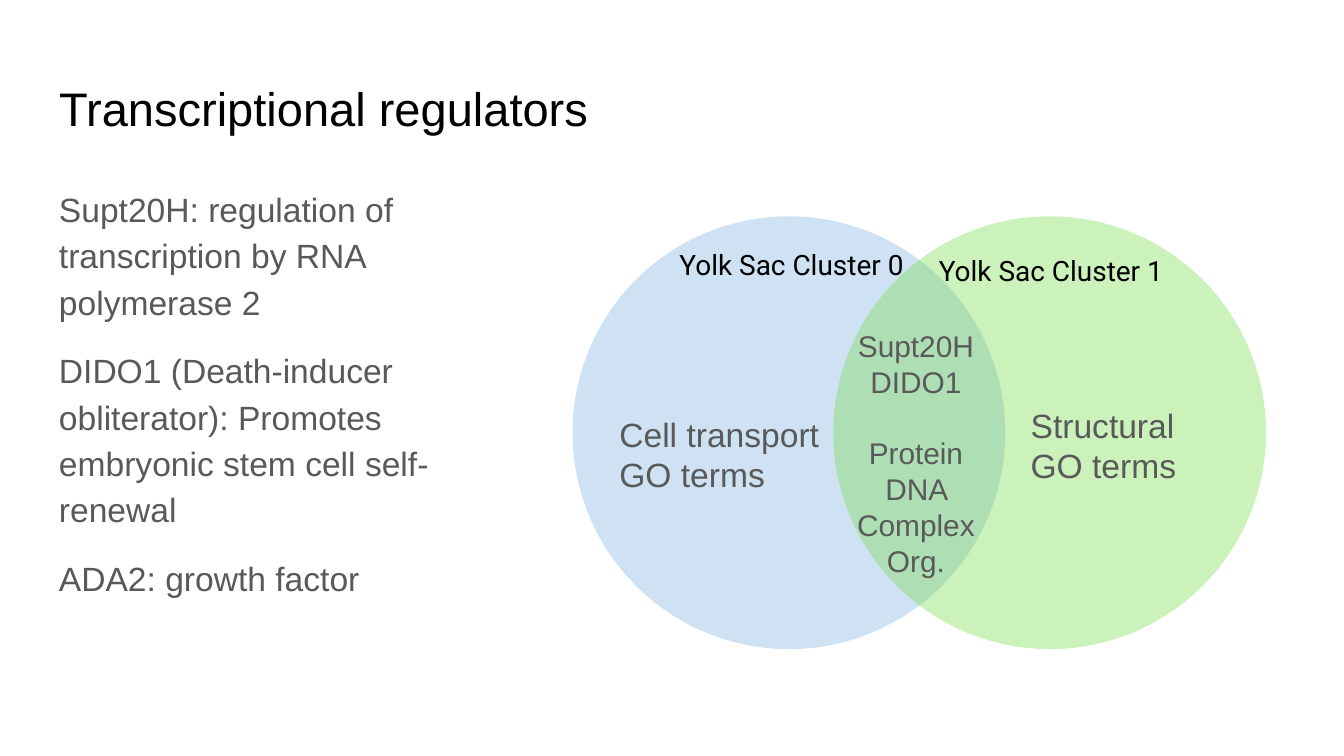
from pptx import Presentation
from pptx.dml.color import RGBColor
from pptx.enum.shapes import MSO_SHAPE
from pptx.enum.text import MSO_ANCHOR, PP_ALIGN
from pptx.oxml.ns import qn
from pptx.util import Inches, Pt
from lxml import etree

OVAL = MSO_SHAPE.OVAL
TOP, MIDDLE = MSO_ANCHOR.TOP, MSO_ANCHOR.MIDDLE
LEFT, CENTER = PP_ALIGN.LEFT, PP_ALIGN.CENTER
BLACK, GRAY = "000000", "595959"

TITLE = "Transcriptional regulators"
REGULATORS = [
    "Supt20H: regulation of transcription by RNA polymerase 2",
    "DIDO1 (Death-inducer obliterator): Promotes embryonic stem cell self-renewal",
    "ADA2: growth factor",
]
SHARED_GENES = ["Supt20H", "DIDO1"]
SHARED_TERMS = "Protein DNA Complex Org."
CLUSTERS = [
    {"name": "Yolk Sac Cluster 0", "color": "CFE2F3", "alpha": 100,
     "label": (4.9, 1.6, 1.98, 0.74),
     "terms": "Cell transport GO terms", "terms_at": (4.51, 2.98, 1.69, 0.81)},
    {"name": "Yolk Sac Cluster 1", "color": "74DC47", "alpha": 36,
     "label": (6.87, 1.64, 1.9, 0.74),
     "terms": "Structural GO terms", "terms_at": (7.57, 2.91, 1.69, 0.85)},
]
SLIDE_WIDTH = 10
SLIDE_HEIGHT = SLIDE_WIDTH * 9 / 16
MARGIN, DIAMETER = 0.34, 3.22
VENN_LEFT, VENN_TOP, VENN_STEP = 4.26, 1.61, 1.94


def rgb(value):
    """Turn a hex string into a colour."""
    return RGBColor.from_string(value)


def place(shape, area):
    """Move and size a shape in inches."""
    shape.left, shape.top, shape.width, shape.height = map(Inches, area)


def write(box, lines, size=18, font="Arial", color=GRAY, align=LEFT,
          anchor=TOP, spacing=1.0, gaps=None):
    """Fill a box with paragraphs of one format."""
    frame = box.text_frame
    frame.word_wrap = True
    frame.vertical_anchor = anchor
    frame.margin_left = frame.margin_right = Inches(0.1)
    frame.margin_top = frame.margin_bottom = Inches(0.1)
    for index, line in enumerate(lines):
        para = frame.paragraphs[0] if index == 0 else frame.add_paragraph()
        para.alignment, para.line_spacing = align, spacing
        para.space_before = Pt(gaps[index] if gaps else 0)
        para.space_after = Pt(0)
        span = para.add_run()
        span.text = line
        span.font.size, span.font.name = Pt(size), font
        span.font.color.rgb = rgb(color)


def add_text(slide, area, lines, **style):
    """Add a text box."""
    write(slide.shapes.add_textbox(*map(Inches, area)), lines, **style)


def add_circle(slide, left, color, alpha):
    """Add one circle of the Venn diagram."""
    area = (left, VENN_TOP, DIAMETER, DIAMETER)
    circle = slide.shapes.add_shape(OVAL, *map(Inches, area))
    circle.shadow.inherit = False
    circle.line.fill.background()
    circle.fill.solid()
    circle.fill.fore_color.rgb = rgb(color)
    if alpha < 100:
        tint = circle.element.spPr.find(".//" + qn("a:srgbClr"))
        etree.SubElement(tint, qn("a:alpha")).set("val", str(alpha * 1000))


def main():
    """Build the slide."""
    deck = Presentation()
    deck.slide_width, deck.slide_height = Inches(SLIDE_WIDTH), Inches(SLIDE_HEIGHT)
    slide = deck.slides.add_slide(deck.slide_layouts[5])
    place(slide.shapes.title, (MARGIN, 0.49, 9.32, 0.63))
    write(slide.shapes.title, [TITLE], size=25.2, color=BLACK)
    add_text(slide, (MARGIN, 1.26, 3.82, 3.74), REGULATORS,
             spacing=1.15, gaps=[0, 12, 12])
    for index, cluster in enumerate(CLUSTERS):
        add_circle(slide, VENN_LEFT + index * VENN_STEP,
                   cluster["color"], cluster["alpha"])
        add_text(slide, cluster["label"], [cluster["name"]], size=15,
                 font="Roboto", color=BLACK, align=CENTER, anchor=MIDDLE)
    add_text(slide, (6.24, 2.34, 1.15, 2.09), SHARED_GENES + [SHARED_TERMS],
             size=16, align=CENTER, gaps=[0, 0, 19])
    for cluster in CLUSTERS:
        add_text(slide, cluster["terms_at"], [cluster["terms"]])
    deck.save("out.pptx")


if __name__ == "__main__":
    main()
